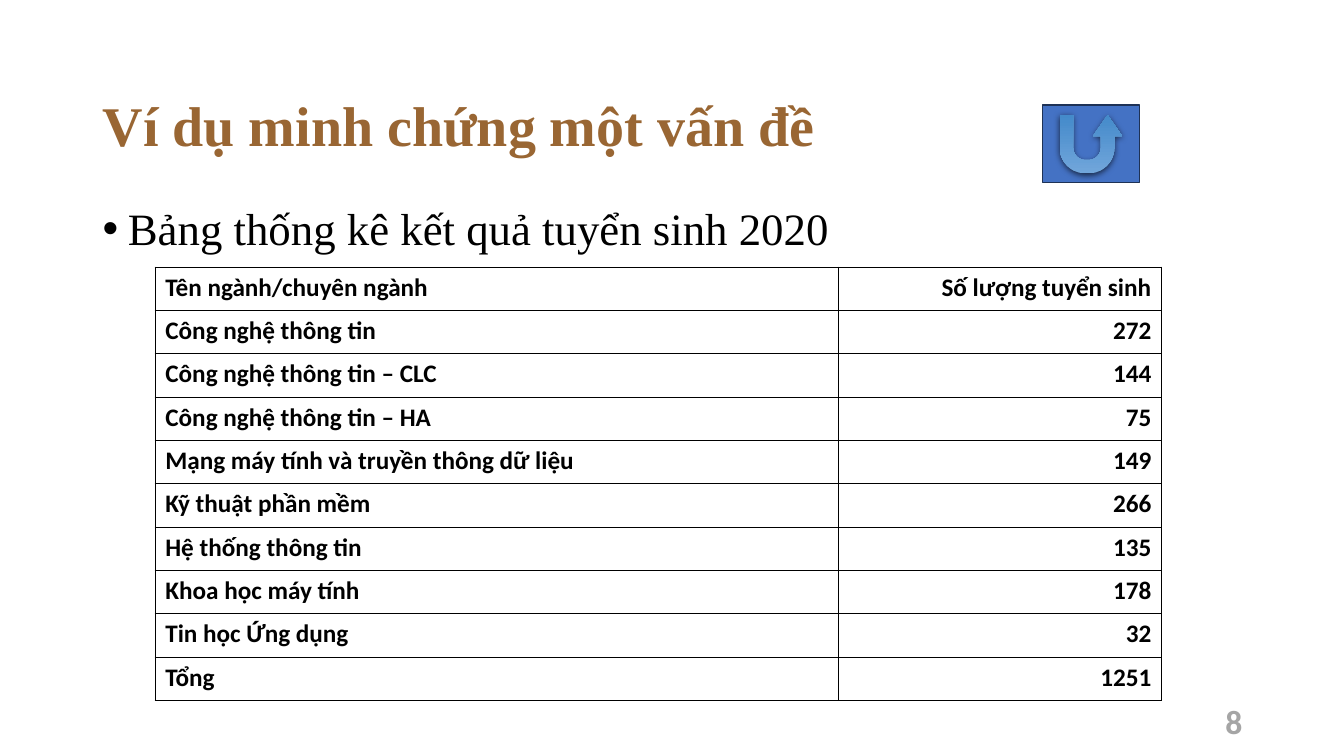
import lxml.etree
import pptx
import pptx.dml.color
import pptx.enum.shapes
import pptx.enum.text
import pptx.oxml.ns
import pptx.util

Inches = pptx.util.Inches
Pt = pptx.util.Pt
ALIGN = pptx.enum.text.PP_ALIGN
ANCHOR = pptx.enum.text.MSO_ANCHOR
SHAPE = pptx.enum.shapes.MSO_SHAPE
qn = pptx.oxml.ns.qn

ENROLMENT = [
    ("Tên ngành/chuyên ngành", "Số lượng tuyển sinh"),
    ("Công nghệ thông tin", "272"),
    ("Công nghệ thông tin – CLC", "144"),
    ("Công nghệ thông tin – HA", "75"),
    ("Mạng máy tính và truyền thông dữ liệu", "149"),
    ("Kỹ thuật phần mềm", "266"),
    ("Hệ thống thông tin", "135"),
    ("Khoa học máy tính", "178"),
    ("Tin học Ứng dụng", "32"),
    ("Tổng", "1251"),
]


def color(hex_code):
    return pptx.dml.color.RGBColor.from_string(hex_code)


def add_xml(parent, tag, **attributes):
    child = lxml.etree.SubElement(parent, qn(tag))
    for key, value in attributes.items():
        child.set(key, str(value))
    return child


def write(frame, text, font, size, hex_code, bold=False, align=ALIGN.LEFT):
    frame.text = text
    paragraph = frame.paragraphs[0]
    paragraph.alignment = align
    paragraph.font.name = font
    paragraph.font.size = Pt(size)
    paragraph.font.bold = bold
    paragraph.font.color.rgb = color(hex_code)
    return paragraph


def place_title(slide, left, top, width, height):
    title = slide.shapes.title
    title.left, title.top = Inches(left), Inches(top)
    title.width, title.height = Inches(width), Inches(height)
    title.text_frame.vertical_anchor = ANCHOR.MIDDLE
    heading = write(title.text_frame, "Ví dụ minh chứng một vấn đề",
                    "Times New Roman", 40, "996633", bold=True)
    heading.line_spacing = 0.9


def add_text_area(slide, left, top, width, height):
    area = slide.shapes.add_textbox(Inches(left), Inches(top), Inches(width), Inches(height))
    area.text_frame.word_wrap = True
    return area.text_frame


def add_bullet(slide, left, top, width, height):
    frame = add_text_area(slide, left, top, width, height)
    bullet = write(frame, "Bảng thống kê kết quả tuyển sinh 2020",
                   "Times New Roman", 32, "000000")
    bullet.line_spacing = 0.9
    bullet.space_before = Pt(10)
    properties = bullet._p.get_or_add_pPr()
    properties.set("marL", str(Inches(0.25)))
    properties.set("indent", str(-Inches(0.25)))
    marks = [add_xml(properties, "a:buFont", typeface="Arial"),
             add_xml(properties, "a:buChar", char="•")]
    for mark in marks:
        properties.find(qn("a:defRPr")).addprevious(mark)


def add_page_number(slide, left, top, width, height):
    frame = add_text_area(slide, left, top, width, height)
    frame.vertical_anchor = ANCHOR.MIDDLE
    write(frame, "8", "Calibri", 24, "A5A5A5", bold=True, align=ALIGN.RIGHT)


def format_cell(cell, text, align):
    write(cell.text_frame, text, "Calibri", 18, "000000", bold=True, align=align)
    properties = cell._tc.get_or_add_tcPr()
    for side in ("a:lnL", "a:lnR", "a:lnT", "a:lnB"):
        border = add_xml(properties, side, w=Pt(1))
        add_xml(add_xml(border, "a:solidFill"), "a:srgbClr", val="000000")
    cell.fill.solid()
    cell.fill.fore_color.rgb = color("FFFFFF")


def add_enrolment_table(slide, left, top, width, height, count_width=3.2):
    table = slide.shapes.add_table(len(ENROLMENT), 2, Inches(left), Inches(top),
                                   Inches(width), Inches(height)).table
    table.columns[0].width = Inches(width - count_width)
    table.columns[1].width = Inches(count_width)
    for row, (programme, count) in enumerate(ENROLMENT):
        format_cell(table.cell(row, 0), programme, ALIGN.LEFT)
        format_cell(table.cell(row, 1), count, ALIGN.RIGHT)


def add_return_button(slide, left, top, width, height):
    """Blue button with a U-turn arrow whose head points up on the right."""
    button = slide.shapes.add_group_shape()
    base = button.shapes.add_shape(SHAPE.RECTANGLE, Inches(left), Inches(top),
                                   Inches(width), Inches(height))
    base.shadow.inherit = False
    base.fill.solid()
    base.fill.fore_color.rgb = color("4472C4")
    base.line.color.rgb = color("1E3256")
    base.line.width = Pt(1)

    arrow = button.shapes.add_shape(SHAPE.U_TURN_ARROW, Inches(left + 0.17), Inches(top + 0.1),
                                    Inches(width - 0.34), Inches(height - 0.19))
    for index, value in enumerate((0.23, 0.25, 0.36, 0.44, 1)):
        arrow.adjustments[index] = value
    arrow.rotation = 180
    arrow.fill.gradient()
    arrow.fill.gradient_angle = 270
    for stop, shade in zip(arrow.fill.gradient_stops, ("71A6DB", "448ACA")):
        stop.color.rgb = color(shade)
    arrow.line.fill.background()
    arrow.shadow.inherit = False
    properties = arrow._element.spPr
    properties.find(qn("a:xfrm")).set("flipH", "1")
    shadow = add_xml(properties.find(qn("a:effectLst")), "a:outerShdw", blurRad=Pt(4.5),
                     dist=Pt(1.5), dir=90 * 60000, algn="ctr", rotWithShape=0)
    add_xml(add_xml(shadow, "a:srgbClr", val="000000"), "a:alpha", val=63000)


def main():
    presentation = pptx.Presentation()
    presentation.slide_width = Inches(13.33)
    presentation.slide_height = Inches(7.5)
    slide = presentation.slides.add_slide(presentation.slide_layouts[5])
    place_title(slide, 0.92, 0.55, 11.5, 1.45)
    add_bullet(slide, 0.92, 2, 11.5, 4.76)
    add_page_number(slide, 9.42, 6.95, 3, 0.4)
    add_enrolment_table(slide, 1.54, 2.65, 9.98, 4.3)
    add_return_button(slide, 10.34, 1.04, 0.96, 0.77)
    presentation.save("out.pptx")


if __name__ == "__main__":
    main()
